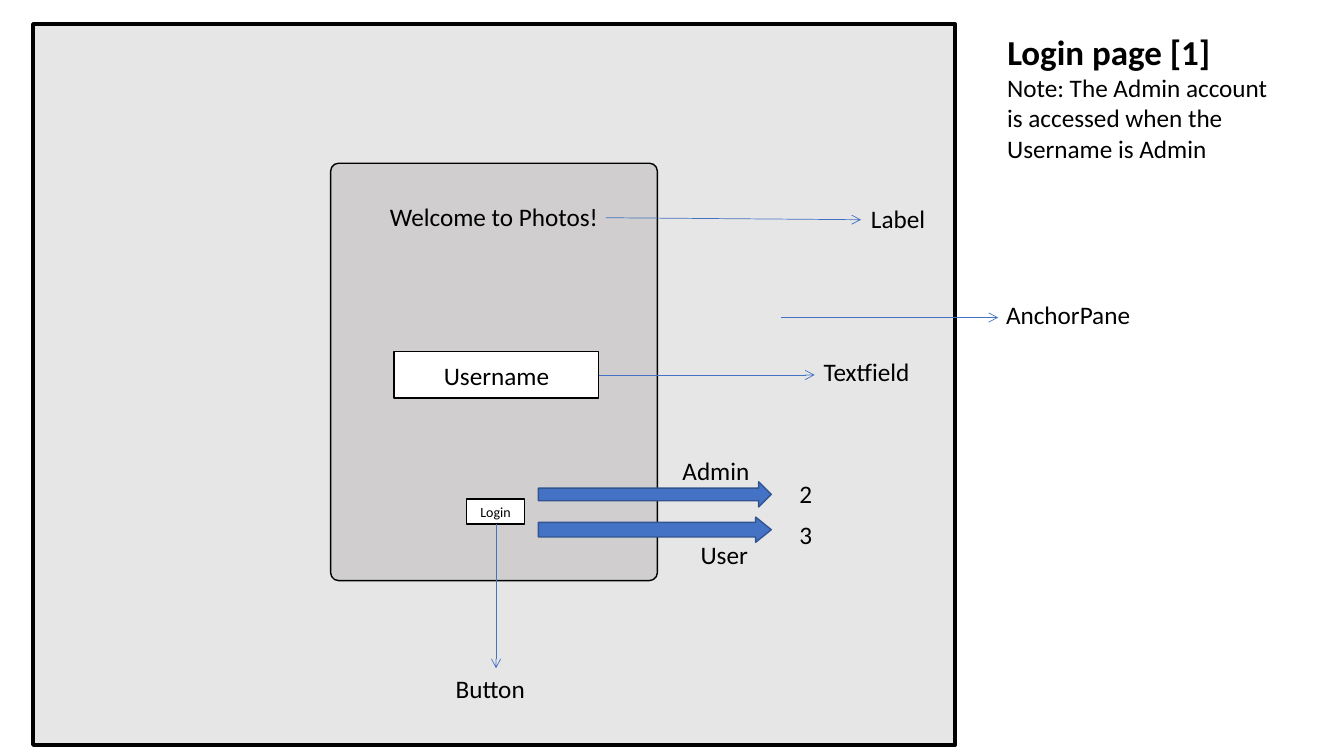
from dataclasses import dataclass

from lxml import etree
from pptx import Presentation
from pptx.dml.color import RGBColor
from pptx.enum.shapes import MSO_CONNECTOR, MSO_SHAPE
from pptx.enum.text import MSO_ANCHOR, MSO_AUTO_SIZE, PP_ALIGN
from pptx.oxml.ns import qn
from pptx.util import Inches, Pt

RECT, ROUNDED, ARROW = MSO_SHAPE.RECTANGLE, MSO_SHAPE.ROUNDED_RECTANGLE, MSO_SHAPE.RIGHT_ARROW
STRAIGHT = MSO_CONNECTOR.STRAIGHT
TOP, MIDDLE = MSO_ANCHOR.TOP, MSO_ANCHOR.MIDDLE
LEFT, CENTER = PP_ALIGN.LEFT, PP_ALIGN.CENTER
NO_FIT = MSO_AUTO_SIZE.NONE


@dataclass(frozen=True)
class Theme:
    font: str = "Calibri"
    ink: str = "000000"
    window: str = "E7E6E6"
    panel: str = "D0CECE"
    field: str = "FFFFFF"
    accent: str = "4472C4"
    accent_edge: str = "325491"
    title: int = 25
    body: int = 18
    small: int = 10


THEME = Theme()
LABEL_HEIGHT = 0.4

HEADING = ("Login page [1]", (9.89, 0.25, 2.92, 0.47))
NOTE = ("Note: The Admin account is accessed when the Username is Admin", (9.89, 0.67, 2.92, 1.01))

WINDOW = (0.33, 0.24, 9.14, 7.15)
PANEL = ("Welcome to Photos!", (3.28, 1.62, 3.24, 4.14))
CONTROLS = [
    ("Username", (3.91, 3.49, 2.03, 0.46), THEME.body),
    ("Login", (4.63, 4.95, 0.57, 0.25), THEME.small),
]
ROUTE_LEFT, ROUTE_WIDTH, ROUTE_HEIGHT = 5.34, 2.31, 0.25
ROUTES = [
    (4.78, (0.5, 0.5)),
    (5.13, (0.58, 0.62)),
]
LABELS = [
    ("Admin", 6.67, 4.47, 0.98),
    ("User", 6.85, 5.3, 0.98),
    ("2", 7.83, 4.7, 0.33),
    ("3", 7.83, 5.1, 0.33),
    ("Label", 8.54, 1.97, 1.46),
    ("Textfield", 8.07, 3.49, 1.46),
    ("Button", 4.42, 6.63, 1.01),
    ("AnchorPane", 9.88, 2.92, 2.16),
]
POINTERS = [
    (6.01, 2.16, 8.54, 2.18),
    (4.92, 5.2, 4.92, 6.63),
    (5.94, 3.72, 8.08, 3.72),
    (7.75, 3.15, 9.9, 3.15),
]


def inches(values):
    return [Inches(value) for value in values]


def write(holder, text, size=THEME.body, bold=False, align=LEFT, anchor=TOP, top_inset=0.05):
    frame = holder.text_frame
    frame.text = text
    frame.word_wrap = True
    frame.auto_size = NO_FIT
    frame.vertical_anchor = anchor
    frame.margin_left = frame.margin_right = Inches(0.1)
    frame.margin_top, frame.margin_bottom = Inches(top_inset), Inches(0.05)
    paragraph = frame.paragraphs[0]
    paragraph.alignment = align
    font = paragraph.runs[0].font
    font.name, font.size, font.bold = THEME.font, Pt(size), bold
    font.color.rgb = RGBColor.from_string(THEME.ink)


def draw(kind, box, fill, edge=THEME.ink, weight=1, adjust=()):
    shape = slide.shapes.add_shape(kind, *inches(box))
    shape.shadow.inherit = False
    shape.fill.solid()
    shape.fill.fore_color.rgb = RGBColor.from_string(fill)
    shape.line.color.rgb = RGBColor.from_string(edge)
    shape.line.width = Pt(weight)
    for index, value in enumerate(adjust):
        shape.adjustments[index] = value
    return shape


def point(ends):
    pointer = slide.shapes.add_connector(STRAIGHT, *inches(ends))
    pointer.line.color.rgb = RGBColor.from_string(THEME.accent)
    pointer.line.width = Pt(0.5)
    properties = pointer.element.spPr
    etree.SubElement(properties.find(qn("a:ln")), qn("a:tailEnd"), type="arrow")
    etree.SubElement(properties, qn("a:effectLst"))


deck = Presentation()
deck.slide_width, deck.slide_height = Inches(13.33), Inches(7.5)
slide = deck.slides.add_slide(deck.slide_layouts[5])

heading_text, heading_box = HEADING
heading = slide.shapes.title
heading.left, heading.top, heading.width, heading.height = inches(heading_box)
write(heading, heading_text, size=THEME.title, bold=True)

note_text, note_box = NOTE
write(slide.shapes.add_textbox(*inches(note_box)), note_text)

draw(RECT, WINDOW, THEME.window, weight=3)
welcome, panel_box = PANEL
panel = draw(ROUNDED, panel_box, THEME.panel, adjust=(0.024,))
write(panel, welcome, align=CENTER, top_inset=0.36)

for caption, box, size in CONTROLS:
    control = draw(RECT, box, THEME.field)
    write(control, caption, size=size, align=CENTER, anchor=MIDDLE)

for top, adjust in ROUTES:
    route_box = (ROUTE_LEFT, top, ROUTE_WIDTH, ROUTE_HEIGHT)
    draw(ARROW, route_box, THEME.accent, edge=THEME.accent_edge, adjust=adjust)

for caption, left, top, width in LABELS:
    write(slide.shapes.add_textbox(*inches((left, top, width, LABEL_HEIGHT))), caption)

for ends in POINTERS:
    point(ends)

deck.save("out.pptx")
